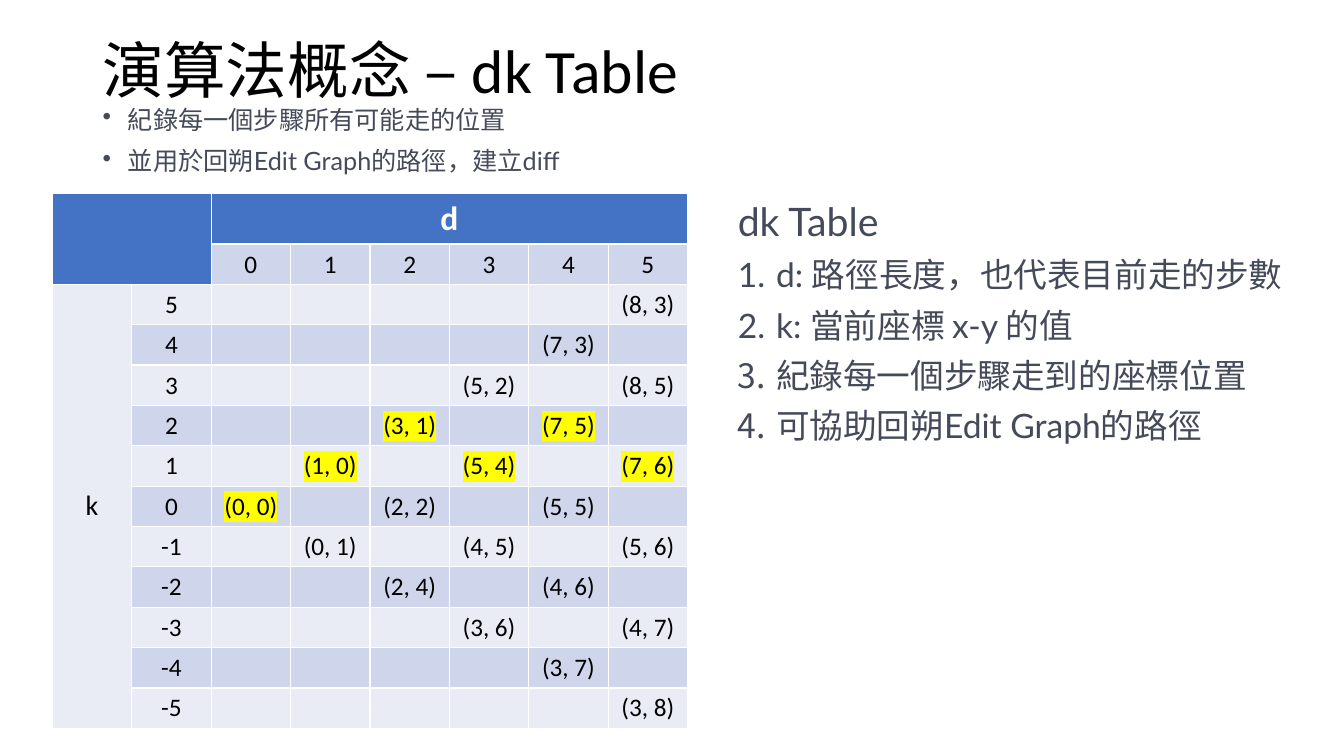
import dataclasses

import lxml.etree
import pptx
import pptx.dml.color
import pptx.enum.text
import pptx.oxml.ns
import pptx.util


@dataclasses.dataclass(frozen=True)
class Theme:
    title_font: str = "Calibri"
    body_font: str = "Lato"
    black: str = "000000"
    white: str = "FFFFFF"
    slate: str = "444A59"
    header: str = "4472C4"
    bands: tuple = ("E9EBF5", "CFD5EA")
    highlight: str = "FFFF00"
    title_size: int = 44
    heading_size: int = 28
    list_size: int = 24
    axis_size: int = 20
    text_size: int = 18
    line_spacing: float = 0.9
    space_before: int = 10


THEME = Theme()
SLIDE_WIDTH = pptx.util.Inches(13.33)
SLIDE_HEIGHT = pptx.util.Inches(7.5)

POINTS_BY_D = [
    [(0, 0)],
    [(1, 0), (0, 1)],
    [(3, 1), (2, 2), (2, 4)],
    [(5, 2), (5, 4), (4, 5), (3, 6)],
    [(7, 3), (7, 5), (5, 5), (4, 6), (3, 7)],
    [(8, 3), (8, 5), (7, 6), (5, 6), (4, 7), (3, 8)],
]
PATH = [(0, 0), (1, 0), (3, 1), (5, 4), (7, 5), (7, 6)]


def percent_box(left, top, width, height):
    return (
        int(SLIDE_WIDTH * left / 100),
        int(SLIDE_HEIGHT * top / 100),
        int(SLIDE_WIDTH * width / 100),
        int(SLIDE_HEIGHT * height / 100),
    )


def add_xml(parent, tag, **attributes):
    return lxml.etree.SubElement(parent, pptx.oxml.ns.qn(tag), **attributes)


def style_font(paragraph, name, size, color, bold=False):
    font = paragraph.font
    font.name = name
    font.size = pptx.util.Pt(size)
    font.bold = bold
    font.color.rgb = pptx.dml.color.RGBColor.from_string(color)


def add_bullet(paragraph, indent, tag, **attributes):
    properties = paragraph._p.get_or_add_pPr()
    width = pptx.util.Inches(indent)
    properties.set("marL", str(width))
    properties.set("indent", str(-width))
    add_xml(properties, tag, **attributes)


def add_text_frame(slide, box):
    text_frame = slide.shapes.add_textbox(*box).text_frame
    text_frame.word_wrap = True
    return text_frame


def fill_paragraphs(text_frame, lines):
    text_frame.text = "\n".join(lines)
    for paragraph in text_frame.paragraphs:
        paragraph.line_spacing = THEME.line_spacing
        paragraph.space_before = pptx.util.Pt(THEME.space_before)
    return text_frame.paragraphs


def add_title(slide, box, title):
    text_frame = add_text_frame(slide, box)
    text_frame.vertical_anchor = pptx.enum.text.MSO_ANCHOR.MIDDLE
    paragraph = fill_paragraphs(text_frame, [title])[0]
    paragraph.space_before = pptx.util.Pt(0)
    style_font(paragraph, THEME.title_font, THEME.title_size, THEME.black)


def add_summary(slide, box, lines):
    for paragraph in fill_paragraphs(add_text_frame(slide, box), lines):
        add_bullet(paragraph, 0.25, "a:buChar", char="•")
        style_font(paragraph, THEME.body_font, THEME.text_size, THEME.slate)


def add_explanation(slide, box, heading, lines):
    paragraphs = fill_paragraphs(add_text_frame(slide, box), [heading, *lines])
    style_font(paragraphs[0], THEME.body_font, THEME.heading_size, THEME.slate)
    for paragraph in paragraphs[1:]:
        add_bullet(paragraph, 0.38, "a:buAutoNum", type="arabicPeriod")
        style_font(paragraph, THEME.body_font, THEME.list_size, THEME.slate)


def write_cell(cell, text, size=THEME.text_size, color=THEME.black, bold=False):
    cell.text = text
    cell.vertical_anchor = pptx.enum.text.MSO_ANCHOR.MIDDLE
    paragraph = cell.text_frame.paragraphs[0]
    paragraph.alignment = pptx.enum.text.PP_ALIGN.CENTER
    style_font(paragraph, THEME.title_font, size, color, bold)


def highlight_cell(cell):
    run = cell.text_frame.paragraphs[0].runs[0]
    highlight = add_xml(run._r.get_or_add_rPr(), "a:highlight")
    add_xml(highlight, "a:srgbClr", val=THEME.highlight)


def fill_cells(table):
    for row_index, row in enumerate(table.rows):
        for column_index, cell in enumerate(row.cells):
            is_header = row_index == 0 or (row_index == 1 and column_index < 2)
            color = THEME.header if is_header else THEME.bands[row_index % 2]
            cell.fill.solid()
            cell.fill.fore_color.rgb = pptx.dml.color.RGBColor.from_string(color)


def add_dk_table(slide, box):
    largest = len(POINTS_BY_D) - 1
    row_count, column_count = 2 * largest + 3, largest + 3
    table = slide.shapes.add_table(row_count, column_count, *box).table
    fill_cells(table)

    table.cell(0, 0).merge(table.cell(1, 1))
    table.cell(0, 2).merge(table.cell(0, column_count - 1))
    table.cell(2, 0).merge(table.cell(row_count - 1, 0))
    write_cell(table.cell(0, 2), "d", THEME.list_size, THEME.white, True)
    write_cell(table.cell(2, 0), "k", THEME.axis_size)

    for k in range(-largest, largest + 1):
        write_cell(table.cell(2 + largest - k, 1), str(k))
    for d, points in enumerate(POINTS_BY_D):
        write_cell(table.cell(1, 2 + d), str(d))
        for x, y in points:
            cell = table.cell(2 + largest - (x - y), 2 + d)
            write_cell(cell, f"({x}, {y})")
            if PATH[d] == (x, y):
                highlight_cell(cell)


def build_dk_slide(presentation):
    slide = presentation.slides.add_slide(presentation.slide_layouts[6])
    add_title(slide, percent_box(6.9, 0.13, 86.27, 19.33), "演算法概念 – dk Table")
    add_explanation(
        slide,
        percent_box(54.16, 26.13, 43.14, 29.33),
        "dk Table",
        [
            "d: 路徑長度，也代表目前走的步數",
            "k: 當前座標 x-y 的值",
            "紀錄每一個步驟走到的座標位置",
            "可協助回朔Edit Graph的路徑",
        ],
    )
    add_dk_table(slide, percent_box(3.9, 25.6, 47.26, 53.73))
    add_summary(
        slide,
        percent_box(6.9, 13.6, 86.27, 15.6),
        ["紀錄每一個步驟所有可能走的位置", "並用於回朔Edit Graph的路徑，建立diff"],
    )


presentation = pptx.Presentation()
presentation.slide_width = SLIDE_WIDTH
presentation.slide_height = SLIDE_HEIGHT
build_dk_slide(presentation)
presentation.save("out.pptx")
